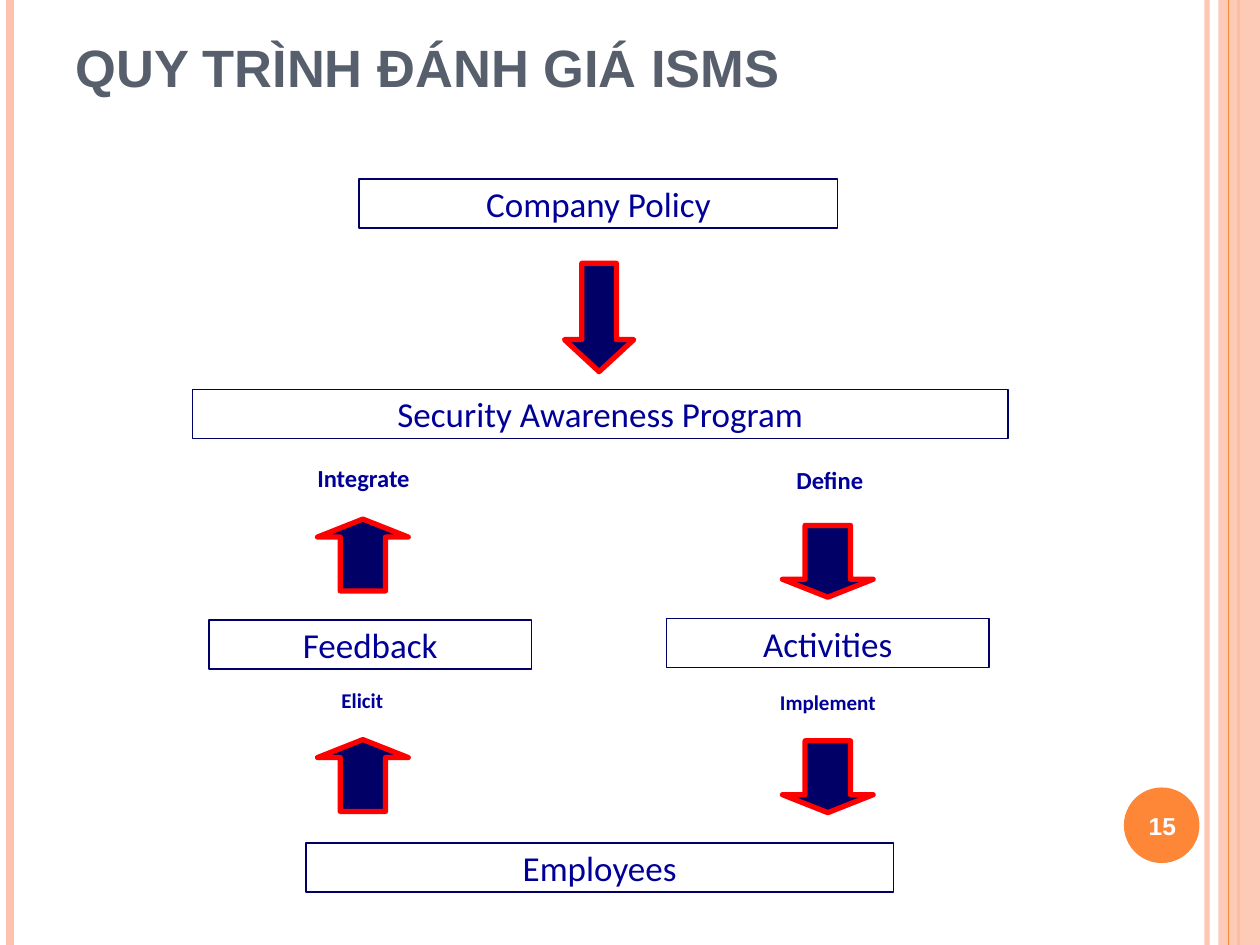
from typing import NamedTuple, Optional

from lxml.etree import SubElement
from pptx import Presentation
from pptx.dml.color import RGBColor
from pptx.enum.shapes import MSO_CONNECTOR as Connector, MSO_SHAPE as Preset
from pptx.enum.text import MSO_ANCHOR as Anchor, PP_ALIGN as Align
from pptx.oxml.ns import qn
from pptx.util import Inches, Pt

COLORS = {
    "peach": "FEC3AE", "orange": "FE8637", "slate": "575F6D", "white": "FFFFFF",
    "navy": "000066", "blue": "000099", "red": "FF0000",
}
COLUMNS, ROWS = 100, 75
SLIDE_WIDTH, SLIDE_HEIGHT = Inches(10), Inches(7.5)


class Area(NamedTuple):
    column: float
    row: float
    columns: float
    rows: float


class Stripe(NamedTuple):
    column: float
    color: str
    weight: float
    opacity: int = 100


class Stage(NamedTuple):
    name: str
    area: Area


class Step(NamedTuple):
    preset: Preset
    area: Area
    head: float = 0.25


class Caption(NamedTuple):
    text: str
    area: Area
    size: float
    color: str = "blue"
    font: str = "Calibri"
    align: Align = Align.CENTER
    anchor: Anchor = Anchor.MIDDLE
    inset: Optional[float] = None


LEFT_COLUMN, RIGHT_COLUMN = 25.2, 62.1
STEP_SIZE = (7.2, 5.7)
STAGE_ROWS = 3.9

STRIPES = [
    Stripe(95.8, "peach", 3, 93),
    Stripe(0.8, "peach", 4.5),
    Stripe(98.3, "orange", 1.5),
]
INNER_STRIPE = Stripe(97.5, "orange", 0.75)
SIDE_BAND = Area(96.7, 0, 3.3, ROWS)
NUMBER_DISC = Area(89.2, 62.5, 6, 6)

STEPS = [
    Step(Preset.DOWN_ARROW, Area(44.8, 20.9, 5.5, 8.6), 0.462),
    Step(Preset.DOWN_ARROW, Area(RIGHT_COLUMN, 41.7, *STEP_SIZE)),
    Step(Preset.DOWN_ARROW, Area(RIGHT_COLUMN, 58.8, *STEP_SIZE)),
    Step(Preset.UP_ARROW, Area(LEFT_COLUMN, 58.7, *STEP_SIZE)),
    Step(Preset.UP_ARROW, Area(LEFT_COLUMN, 41.2, *STEP_SIZE)),
]
STAGES = [
    Stage("Employees", Area(24.3, 66.9, 46.6, STAGE_ROWS)),
    Stage("Security Awareness Program", Area(15.3, 30.9, 64.7, STAGE_ROWS)),
    Stage("Feedback", Area(16.6, 49.2, 25.6, STAGE_ROWS)),
    Stage("Activities", Area(52.9, 49.1, 25.6, STAGE_ROWS)),
    Stage("Company Policy", Area(28.5, 14.2, 38, STAGE_ROWS)),
]
TITLE = Caption("QUY TRÌNH ĐÁNH GIÁ ISMS", Area(5, 3, 81.7, 5.3), 30,
                "slate", "Arial", Align.LEFT, Anchor.BOTTOM)
CAPTIONS = [
    Caption("Define", Area(59.9, 36.2, 11.9, 3.7), 14, inset=0),
    Caption("Implement", Area(58.1, 54.3, 15.2, 2.9), 12),
    Caption("Elicit", Area(22, 54.6, 13.5, 1.9), 12),
    Caption("Integrate", Area(20.7, 36.2, 16.3, 3.5), 14, inset=0),
]
SLIDE_NUMBER = Caption("15", Area(88.9, 62.7, 6.7, 5.7), 14, "white", "Arial")


def rgb(name: str) -> RGBColor:
    return RGBColor.from_string(COLORS[name])


def place(area: Area) -> tuple[int, int, int, int]:
    across, down = SLIDE_WIDTH / COLUMNS, SLIDE_HEIGHT / ROWS
    return (round(area.column * across), round(area.row * down),
            round(area.columns * across), round(area.rows * down))


def set_opacity(element, percent: int) -> None:
    for color in element.iter(qn("a:srgbClr")):
        SubElement(color, qn("a:alpha"), val=str(percent * 1000))


def draw_stripe(slide, stripe: Stripe) -> None:
    x, top, _, height = place(Area(stripe.column, 0, 0, ROWS))
    edge = slide.shapes.add_connector(Connector.STRAIGHT, x, top, x, height)
    edge.line.color.rgb = rgb(stripe.color)
    edge.line.width = Pt(stripe.weight)
    if stripe.opacity < 100:
        set_opacity(edge.line._ln, stripe.opacity)
    SubElement(edge._element.spPr, qn("a:effectLst"))


def draw_shape(slide, preset: Preset, area: Area, fill: Optional[str] = None,
               outline: Optional[str] = None, weight: float = 0.75):
    shape = slide.shapes.add_shape(preset, *place(area))
    shape.shadow.inherit = False
    if fill:
        shape.fill.solid()
        shape.fill.fore_color.rgb = rgb(fill)
    else:
        shape.fill.background()
    if outline:
        shape.line.color.rgb = rgb(outline)
        shape.line.width = Pt(weight)
    else:
        shape.line.fill.background()
    return shape


def write(frame, caption: Caption, bold: bool = True) -> None:
    frame.word_wrap = True
    frame.vertical_anchor = caption.anchor
    if caption.inset is not None:
        frame.margin_left = frame.margin_right = Inches(caption.inset)
        frame.margin_top = frame.margin_bottom = Inches(caption.inset)
    paragraph = frame.paragraphs[0]
    paragraph.text = caption.text
    paragraph.alignment = caption.align
    paragraph.font.name = caption.font
    paragraph.font.size = Pt(caption.size)
    paragraph.font.bold = bold
    paragraph.font.color.rgb = rgb(caption.color)


def draw_caption(slide, caption: Caption) -> None:
    write(slide.shapes.add_textbox(*place(caption.area)).text_frame, caption)


def draw_step(slide, step: Step) -> None:
    arrow = draw_shape(slide, step.preset, step.area, "navy", "red", 3)
    arrow.adjustments[0] = 0.5
    arrow.adjustments[1] = step.head


def draw_stage(slide, stage: Stage) -> None:
    box = draw_shape(slide, Preset.RECTANGLE, stage.area, outline="navy")
    write(box.text_frame, Caption(stage.name, stage.area, 20, inset=0), bold=False)


def main() -> None:
    """Build the ISMS assessment process slide."""
    deck = Presentation()
    deck.slide_width, deck.slide_height = SLIDE_WIDTH, SLIDE_HEIGHT
    slide = deck.slides.add_slide(deck.slide_layouts[6])
    for stripe in STRIPES:
        draw_stripe(slide, stripe)
    band = draw_shape(slide, Preset.RECTANGLE, SIDE_BAND, "peach")
    set_opacity(band._element.spPr, 87)
    draw_stripe(slide, INNER_STRIPE)
    draw_shape(slide, Preset.OVAL, NUMBER_DISC, "orange")
    draw_caption(slide, TITLE)
    for step in STEPS:
        draw_step(slide, step)
    for caption in CAPTIONS:
        draw_caption(slide, caption)
    for stage in STAGES:
        draw_stage(slide, stage)
    draw_caption(slide, SLIDE_NUMBER)
    deck.save("out.pptx")


if __name__ == "__main__":
    main()
